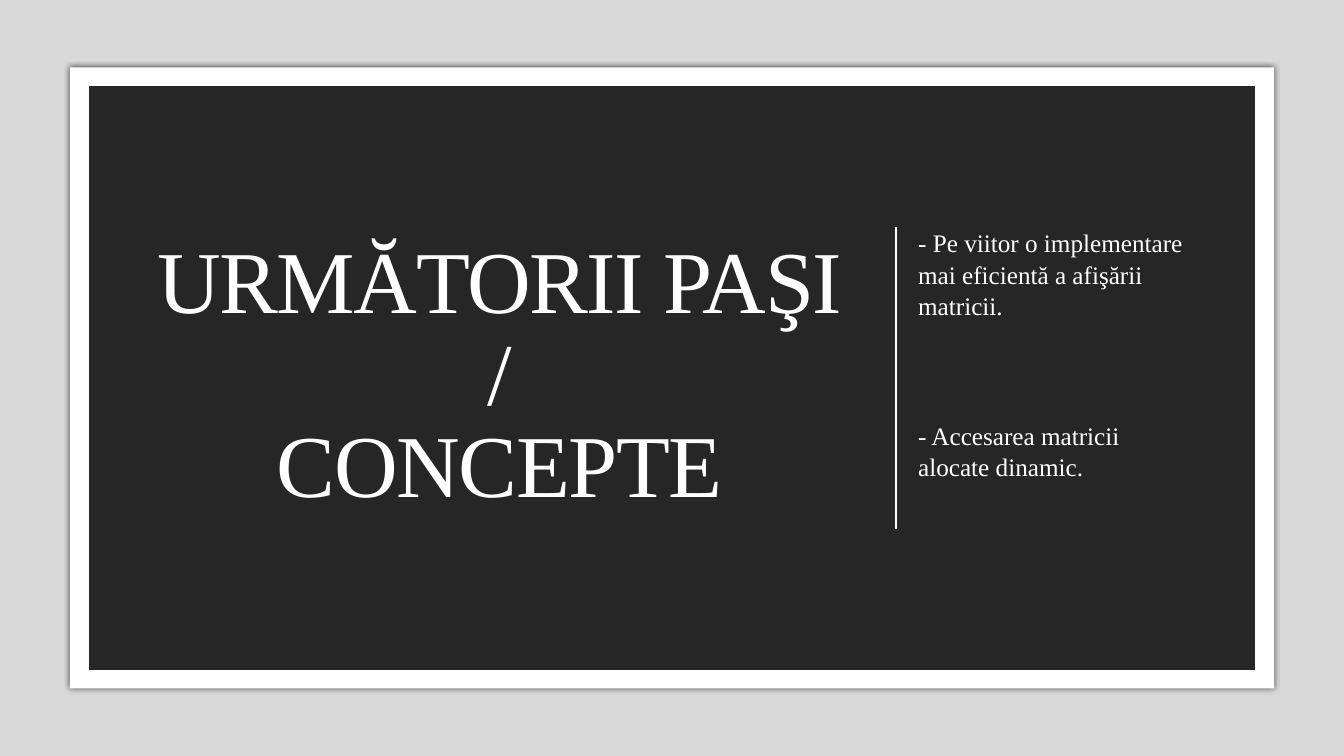
from lxml import etree
from pptx import Presentation
from pptx.dml.color import RGBColor
from pptx.enum.shapes import MSO_CONNECTOR as CONN, MSO_SHAPE as SHAPE
from pptx.enum.text import MSO_ANCHOR as ANCHOR, PP_ALIGN as ALIGN
from pptx.oxml import parse_xml
from pptx.oxml.ns import nsdecls, qn
from pptx.util import Cm, Pt

GREY = RGBColor(0xD9, 0xD9, 0xD9)
WHITE = RGBColor(0xFF, 0xFF, 0xFF)
DARK = RGBColor(0x26, 0x26, 0x26)

SHADOW = f"""<a:effectLst {nsdecls('a')}>
  <a:outerShdw blurRad="50800" dist="0" dir="0" algn="ctr" rotWithShape="0">
    <a:srgbClr val="000000"><a:alpha val="66000"/></a:srgbClr>
  </a:outerShdw>
</a:effectLst>"""

TITLE = {"size": Pt(63)}
BODY = {"size": Pt(18)}


class SlideBuilder:
    font = {"name": "Times New Roman"}
    color = WHITE

    def __init__(self, slide):
        self.slide = slide

    def panel(self, box, fill, line=None, shadow=False):
        sp = self.slide.shapes.add_shape(SHAPE.RECTANGLE, *map(Cm, box))
        sp.shadow.inherit = False
        sp.fill.solid()
        sp.fill.fore_color.rgb = fill
        if line:
            sp.line.color.rgb = line
            sp.line.width = Pt(0.5)
        else:
            sp.line.fill.background()
        if shadow:
            pr = sp._element.spPr
            pr.replace(pr.find(qn("a:effectLst")), parse_xml(SHADOW))

    def rule(self, x, top, bottom):
        ln = self.slide.shapes.add_connector(
            CONN.STRAIGHT, Cm(x), Cm(top), Cm(x), Cm(bottom))
        ln.line.color.rgb = self.color
        ln.line.width = Pt(1)
        etree.SubElement(ln._element.spPr, qn("a:effectLst"))

    def text(self, box, text, style, spacing, align=ALIGN.LEFT,
             anchor=ANCHOR.TOP, tracking=0):
        tf = self.slide.shapes.add_textbox(*map(Cm, box)).text_frame
        tf.word_wrap = True
        tf.vertical_anchor = anchor
        p = tf.paragraphs[0]
        p.text = text
        p.alignment = align
        p.line_spacing = spacing
        for r in p.runs:
            for key, value in {**self.font, **style}.items():
                setattr(r.font, key, value)
            r.font.color.rgb = self.color
            if tracking:
                r._r.get_or_add_rPr().set("spc", str(tracking))


def main():
    prs = Presentation()
    prs.slide_width, prs.slide_height = Cm(33.87), Cm(19.05)
    s = SlideBuilder(prs.slides.add_slide(prs.slide_layouts[6]))

    # Backdrop and framed panel
    s.panel((0, 0, 33.87, 19.05), GREY)
    s.panel((1.76, 1.7, 30.35, 15.65), WHITE, shadow=True)
    s.panel((2.22, 2.16, 29.43, 14.73), DARK, line=WHITE)

    # Title
    s.text((3.5, 3.53, 18.19, 11.99), "URMĂTORII PAŞI\v/\vCONCEPTE", TITLE,
           0.87, ALIGN.CENTER, ANCHOR.MIDDLE, tracking=-100)

    # Divider and next steps
    s.rule(22.58, 5.72, 13.33)
    s.text((22.89, 5.56, 7.77, 2.57),
           "- Pe viitor o implementare mai eficientă a afişării matricii.",
           BODY, 1.05)
    s.text((22.89, 10.42, 6.96, 1.8),
           "- Accesarea matricii alocate dinamic.", BODY, 1.05)

    prs.save("out.pptx")


if __name__ == "__main__":
    main()
